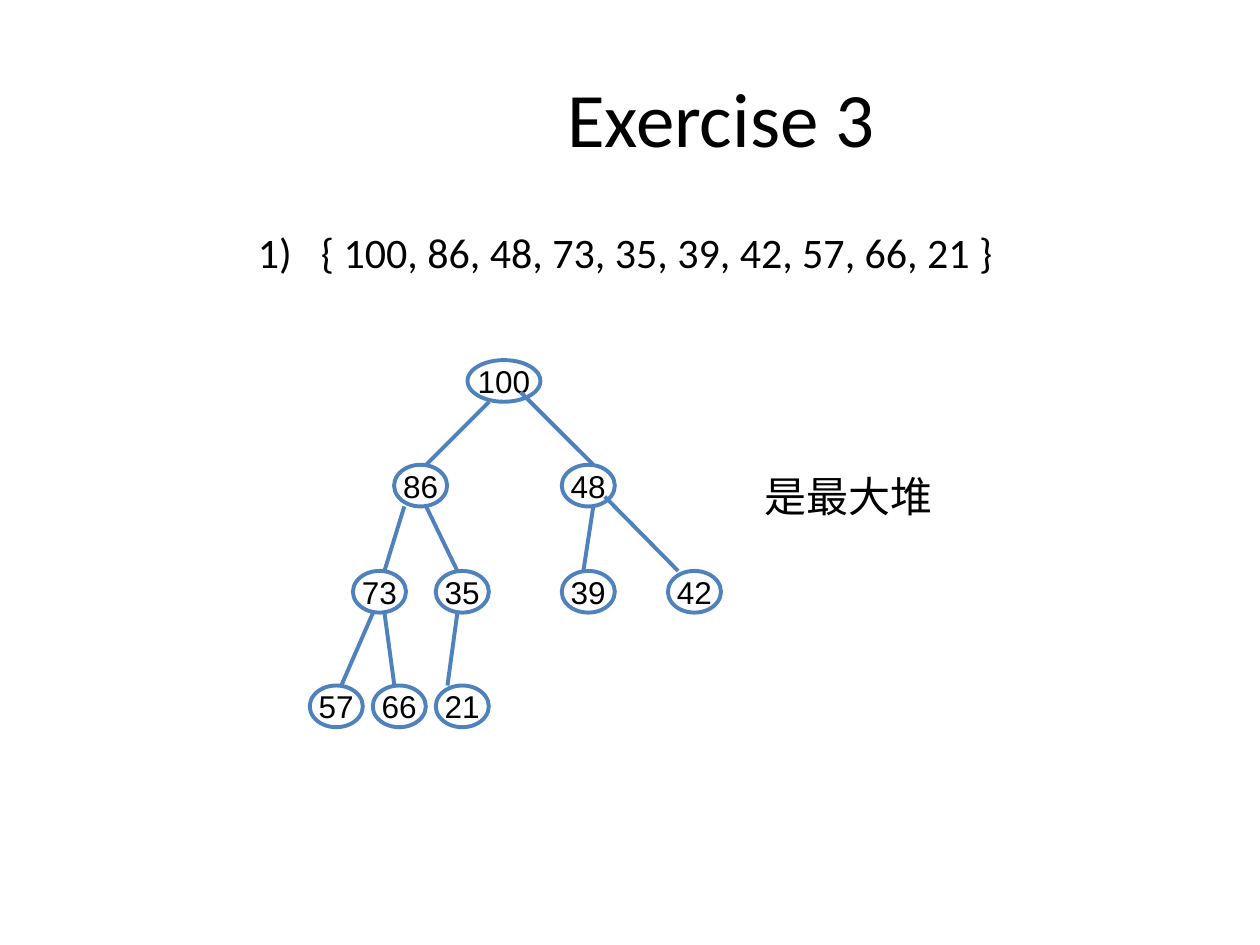
import dataclasses
import pptx
import pptx.util
import pptx.dml.color
import pptx.enum.shapes
import pptx.enum.text
import pptx.oxml.ns
import lxml.etree

Cm = pptx.util.Cm
Pt = pptx.util.Pt
Color = pptx.dml.color.RGBColor
Align = pptx.enum.text.PP_ALIGN
Anchor = pptx.enum.text.MSO_ANCHOR
qn = pptx.oxml.ns.qn


@dataclasses.dataclass(frozen=True)
class Theme:
    ink: Color = Color(0, 0, 0)
    paper: Color = Color(255, 255, 255)
    edge: Color = Color(0x4F, 0x81, 0xBD)
    font: str = "Calibri"
    mono: str = "Arial"
    title: int = 44
    body: int = 24
    node: int = 18
    line: float = 2.25


THEME = Theme()
ROWS = [7.68, 9.79, 11.93, 14.24]
TALL = 0.84

# Each node: key, centre x, edge start x, edge end x, lift of the edge start.
HEAP = [
    ("100", 10.16, 0, 0, 0),
    ("86", 8.48, 9.86, 8.59, 0),
    ("48", 11.86, 10.49, 11.96, 0.2),
    ("73", 7.65, 8.15, 7.75, 0),
    ("35", 9.32, 8.59, 9.22, 0),
    ("39", 11.86, 11.96, 11.76, 0),
    ("42", 14, 12.19, 13.67, 0.2),
    ("57", 6.78, 7.52, 6.88, 0),
    ("66", 8.05, 7.75, 7.95, 0),
    ("21", 9.32, 9.22, 9.02, 0),
]


def write(shape, text, size, font=THEME.font, align=Align.LEFT,
          anchor=Anchor.TOP, wrap=True, number=None):
    frame = shape.text_frame
    frame.word_wrap = wrap
    frame.vertical_anchor = anchor
    para = frame.paragraphs[0]
    para.text = text
    para.alignment = align
    if number:
        props = para._p.get_or_add_pPr()
        props.set("marL", str(Cm(1.27)))
        props.set("indent", str(-Cm(1.27)))
        lxml.etree.SubElement(props, qn("a:buAutoNum"), type=number)
    face = para.runs[0].font
    face.size = Pt(size)
    face.name = font
    face.color.rgb = THEME.ink


def box(slide, left, top, width, height, text, size, **style):
    shape = slide.shapes.add_textbox(Cm(left), Cm(top), Cm(width), Cm(height))
    write(shape, text, size, **style)


def node(slide, text, mid, row):
    width = 1.47 if len(text) > 2 else 1.07
    shape = slide.shapes.add_shape(
        pptx.enum.shapes.MSO_SHAPE.OVAL,
        Cm(mid - width / 2), Cm(row - TALL / 2), Cm(width), Cm(TALL))
    shape.shadow.inherit = False
    shape.fill.solid()
    shape.fill.fore_color.rgb = THEME.paper
    shape.line.color.rgb = THEME.edge
    shape.line.width = Pt(THEME.line)
    write(shape, text, THEME.node, font=THEME.mono, align=Align.CENTER,
          anchor=Anchor.MIDDLE, wrap=False)


def edge(slide, x1, y1, x2, y2):
    line = slide.shapes.add_connector(
        pptx.enum.shapes.MSO_CONNECTOR.STRAIGHT,
        Cm(x1), Cm(y1), Cm(x2), Cm(y2))
    line.line.color.rgb = THEME.edge
    line.line.width = Pt(THEME.line)
    lxml.etree.SubElement(line._element.spPr, qn("a:effectLst"))


def tree(slide):
    for place, (key, mid, start, end, lift) in enumerate(HEAP, 1):
        level = place.bit_length() - 1
        row = ROWS[level]
        node(slide, key, mid, row)
        if level:
            edge(slide, start, ROWS[level - 1] + TALL / 2 - lift,
                 end, row - TALL / 2)


def main():
    deck = pptx.Presentation()
    deck.slide_width = Cm(25.4)
    deck.slide_height = Cm(19.05)
    slide = deck.slides.add_slide(deck.slide_layouts[6])
    box(slide, 4.95, 0.76, 19.18, 3.18, "Exercise 3", THEME.title,
        align=Align.CENTER, anchor=Anchor.MIDDLE)
    keys = ", ".join(item[0] for item in HEAP)
    box(slide, 4.95, 4.45, 19.18, 1.3, "{ " + keys + " }", THEME.body,
        number="arabicParenR")
    box(slide, 15.16, 9.4, 5, 1.2, "是最大堆", THEME.body,
        anchor=Anchor.MIDDLE)
    tree(slide)
    deck.save("out.pptx")


if __name__ == "__main__":
    main()
